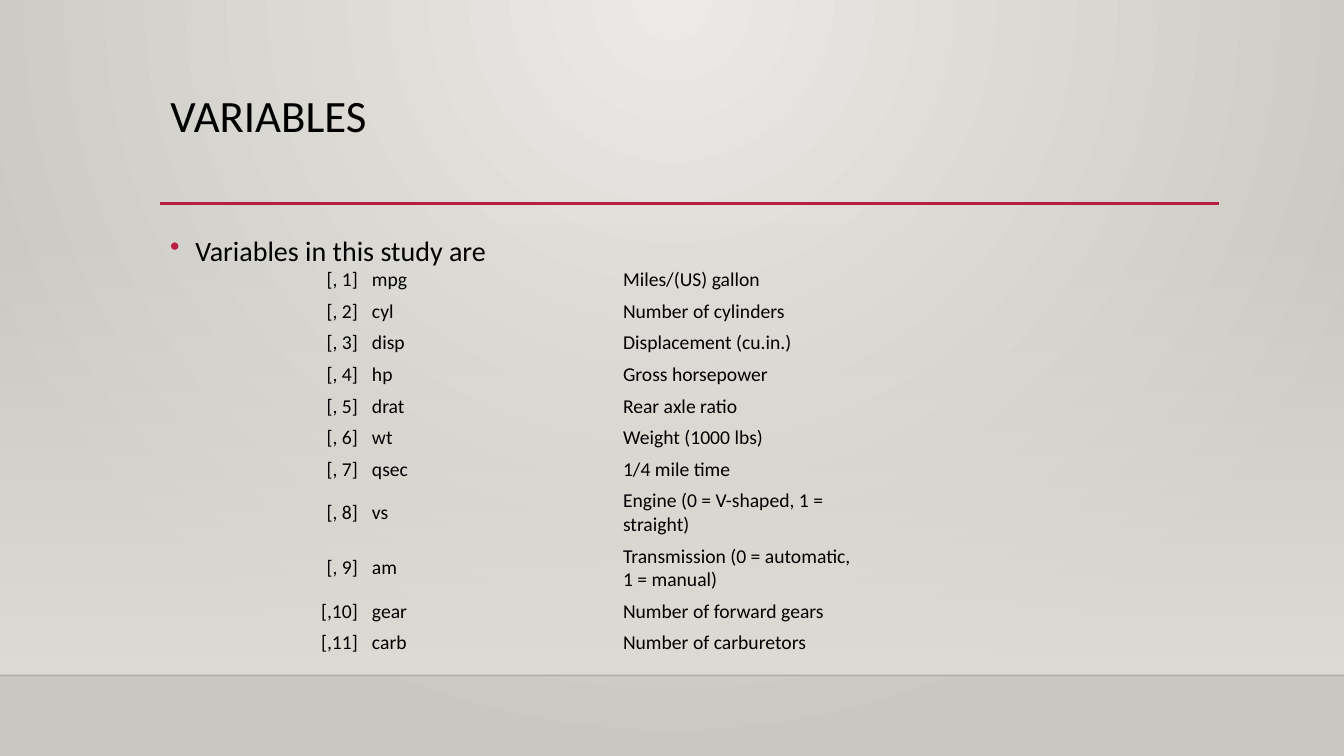
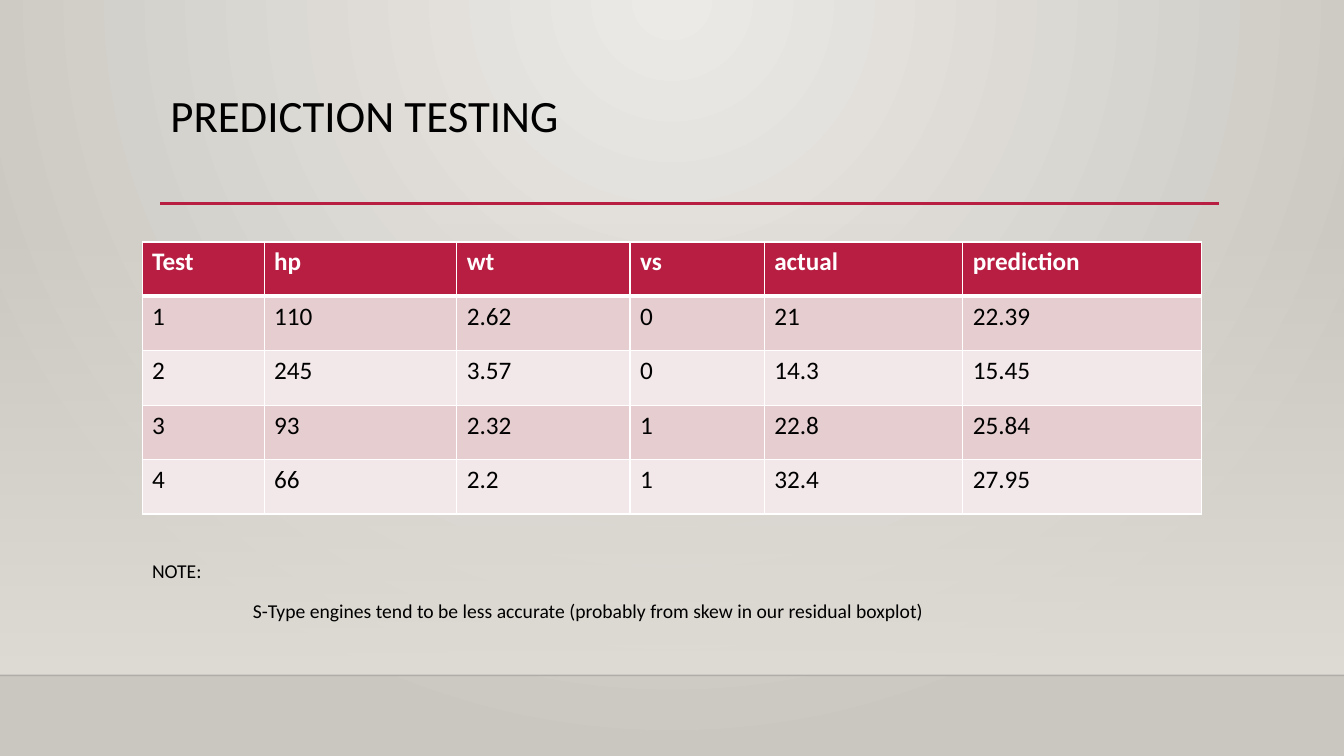
from lxml import etree
from pptx import Presentation
from pptx.dml.color import RGBColor
from pptx.enum.shapes import MSO_CONNECTOR, MSO_SHAPE
from pptx.enum.text import MSO_ANCHOR, MSO_AUTO_SIZE, PP_ALIGN
from pptx.oxml import parse_xml
from pptx.oxml.ns import nsdecls, qn
from pptx.util import Inches, Pt

STRAIGHT = MSO_CONNECTOR.STRAIGHT
RECTANGLE = MSO_SHAPE.RECTANGLE
TOP, MIDDLE = MSO_ANCHOR.TOP, MSO_ANCHOR.MIDDLE
LEFT, RIGHT = PP_ALIGN.LEFT, PP_ALIGN.RIGHT
NO_AUTOFIT = MSO_AUTO_SIZE.NONE

BLACK = RGBColor(0x00, 0x00, 0x00)
WHITE = RGBColor(0xFF, 0xFF, 0xFF)
FLOOR_LINE = RGBColor(0x00, 0x00, 0x01)
CRIMSON = RGBColor(0xB7, 0x1E, 0x42)
ROSE = RGBColor(0xE6, 0xCD, 0xCF)
PALE_ROSE = RGBColor(0xF3, 0xE8, 0xE9)
WALL_LIGHT = RGBColor(0xEC, 0xEA, 0xE7)
WALL_DARK = RGBColor(0xCA, 0xC7, 0xC1)
HAZE = RGBColor(0xDF, 0xDB, 0xD5)

FONT = "Calibri"
SLIDE_WIDTH, SLIDE_HEIGHT = 13.33, 7.5
MARGIN, CONTENT_WIDTH = 1.59, 10.5
FLOOR_TOP = 6.7
PLAIN_TABLE_STYLE = "{2D5ABB26-0587-4C30-8999-92F81FD0307C}"
SPOTLIGHT = ('<a:path path="circle"><a:fillToRect l="43000" t="0" '
             'r="43000" b="100000"/></a:path>')
DOWNWARD = '<a:lin ang="5400000" scaled="0"/>'


def gradient(start, end, direction, start_opacity=100):
    """Return a two-stop gradient fill element."""
    return parse_xml(
        f'<a:gradFill {nsdecls("a")} rotWithShape="1"><a:gsLst>'
        f'<a:gs pos="0"><a:srgbClr val="{start}">'
        f'<a:alpha val="{start_opacity * 1000}"/></a:srgbClr></a:gs>'
        f'<a:gs pos="100000"><a:srgbClr val="{end}"/></a:gs>'
        f'</a:gsLst>{direction}</a:gradFill>')


def replace_solid_fill(parent, fill):
    """Put a fill element in the place of a parent's solid fill."""
    parent.replace(parent.find(qn("a:solidFill")), fill)


def set_border(cell, side, color, width):
    """Draw one border of a cell; call it before the cell is filled."""
    cell._tc.get_or_add_tcPr().append(parse_xml(
        f'<a:ln{side} {nsdecls("a")} w="{Pt(width)}"><a:solidFill>'
        f'<a:srgbClr val="{color}"/></a:solidFill></a:ln{side}>'))


def set_indent(paragraph, left, first_line=0):
    """Indent a paragraph by lengths in inches."""
    properties = paragraph._p.get_or_add_pPr()
    properties.set("marL", str(Inches(left)))
    properties.set("indent", str(Inches(first_line)))


def set_bullet(paragraph, color):
    """Give a paragraph a coloured round bullet."""
    properties = paragraph._p.get_or_add_pPr()
    bullet_color = etree.SubElement(properties, qn("a:buClr"))
    etree.SubElement(bullet_color, qn("a:srgbClr")).set("val", str(color))
    etree.SubElement(properties, qn("a:buChar")).set("char", "•")


class Deck:
    """Holds the shared style and the current slide."""

    def __init__(self):
        """Start a wide presentation with the spotlight background."""
        self.presentation = Presentation()
        self.presentation.slide_width = Inches(SLIDE_WIDTH)
        self.presentation.slide_height = Inches(SLIDE_HEIGHT)
        self.slide = None
        master = self.presentation.slide_master
        master.background.fill.solid()
        background = master._element.find(".//" + qn("p:bgPr"))
        replace_solid_fill(background,
                           gradient(WALL_LIGHT, WALL_DARK, SPOTLIGHT))

    def add_slide(self, title, title_height):
        """Add a slide with its haze, lines and title."""
        layout = self.presentation.slide_layouts[5]
        self.slide = self.presentation.slides.add_slide(layout)
        self.haze()
        floor = self.line(0, FLOOR_TOP, SLIDE_WIDTH, FLOOR_LINE, 1)
        floor_color = floor._element.find(".//" + qn("a:srgbClr"))
        etree.SubElement(floor_color, qn("a:alpha")).set("val", "20000")
        self.line(MARGIN, 2.02, CONTENT_WIDTH, CRIMSON, 2.5)
        shape = self.slide.shapes.title
        shape.left, shape.top = Inches(MARGIN), Inches(0.88)
        shape.width, shape.height = Inches(CONTENT_WIDTH), Inches(title_height)
        frame = shape.text_frame
        frame.text = title
        frame.auto_size = NO_AUTOFIT
        frame.vertical_anchor = TOP
        self.format(frame.paragraphs[0], 32, spacing=0.9)

    def format(self, paragraph, size, color=BLACK, bold=False, align=LEFT,
               spacing=1.0, before=0):
        """Apply the deck's text style to a paragraph."""
        paragraph.alignment = align
        paragraph.line_spacing = spacing
        paragraph.space_before = Pt(before)
        for run in paragraph.runs:
            run.font.name = FONT
            run.font.size = Pt(size)
            run.font.bold = bold
            run.font.color.rgb = color

    def haze(self):
        """Fade in a light band down to the floor line."""
        shape = self.slide.shapes.add_shape(
            RECTANGLE, 0, Inches(2.21), Inches(SLIDE_WIDTH),
            Inches(FLOOR_TOP - 2.21))
        shape.shadow.inherit = False
        shape.line.fill.background()
        shape.fill.solid()
        replace_solid_fill(shape._element.spPr,
                           gradient(HAZE, HAZE, DOWNWARD, 0))

    def line(self, left, top, width, color, weight):
        """Draw a horizontal line."""
        connector = self.slide.shapes.add_connector(
            STRAIGHT, Inches(left), Inches(top), Inches(left + width),
            Inches(top))
        connector.line.color.rgb = color
        connector.line.width = Pt(weight)
        etree.SubElement(connector._element.spPr, qn("a:effectLst"))
        return connector

    def text(self, left, top, width, height, lines, size, spacing):
        """Add a wrapped text box and return its paragraphs."""
        box = self.slide.shapes.add_textbox(
            Inches(left), Inches(top), Inches(width), Inches(height))
        frame = box.text_frame
        frame.word_wrap = True
        frame.text = "\n".join(lines)
        for paragraph in frame.paragraphs:
            self.format(paragraph, size, spacing=spacing, before=10)
        return frame.paragraphs

    def table(self, left, top, widths, heights, rows):
        """Add an unstyled table and return its rows of cells."""
        frame = self.slide.shapes.add_table(
            len(rows), len(widths), Inches(left), Inches(top),
            Inches(sum(widths)), Inches(sum(heights)))
        table = frame.table
        table.first_row = table.horz_banding = False
        table._tbl.tblPr.find(qn("a:tableStyleId")).text = PLAIN_TABLE_STYLE
        for column, width in zip(table.columns, widths):
            column.width = Inches(width)
        for row, height, values in zip(table.rows, heights, rows):
            row.height = Inches(height)
            for cell, value in zip(row.cells, values):
                cell.text = value
        return [list(row.cells) for row in table.rows]

    def list_table(self, left, top, widths, heights, rows):
        """Add a table without fills or borders, first column to the right."""
        for cells in self.table(left, top, widths, heights, rows):
            for index, cell in enumerate(cells):
                cell.margin_left = cell.margin_right = Inches(0.07)
                cell.margin_top = cell.margin_bottom = Inches(0.04)
                cell.vertical_anchor = MIDDLE
                cell.fill.background()
                self.format(cell.text_frame.paragraphs[0], 14,
                            align=LEFT if index else RIGHT)

    def banded_table(self, left, top, widths, heights, rows):
        """Add a table with a crimson header and rose bands."""
        grid = self.table(left, top, widths, heights, rows)
        for index, cells in enumerate(grid):
            header = index == 0
            band = ROSE if index % 2 else PALE_ROSE
            borders = {"L": 1, "R": 1, "T": 3 if index == 1 else 1,
                       "B": 3 if header else 1}
            for cell in cells:
                for side, width in borders.items():
                    set_border(cell, side, WHITE, width)
                cell.fill.solid()
                cell.fill.fore_color.rgb = CRIMSON if header else band
                self.format(cell.text_frame.paragraphs[0], 18,
                            WHITE if header else BLACK, bold=header)


VARIABLES = [
    ("mpg", "Miles/(US) gallon"),
    ("cyl", "Number of cylinders"),
    ("disp", "Displacement (cu.in.)"),
    ("hp", "Gross horsepower"),
    ("drat", "Rear axle ratio"),
    ("wt", "Weight (1000 lbs)"),
    ("qsec", "1/4 mile time"),
    ("vs", "Engine (0 = V-shaped, 1 = straight)"),
    ("am", "Transmission (0 = automatic, 1 = manual)"),
    ("gear", "Number of forward gears"),
    ("carb", "Number of carburetors"),
]
PREDICTIONS = [
    ("Test", "hp", "wt", "vs", "actual", "prediction"),
    ("1", "110", "2.62", "0", "21", "22.39"),
    ("2", "245", "3.57", "0", "14.3", "15.45"),
    ("3", "93", "2.32", "1", "22.8", "25.84"),
    ("4", "66", "2.2", "1", "32.4", "27.95"),
]


def variables_slide(deck):
    """Build the list of the study's variables."""
    deck.add_slide("VARIABLES", 0.87)
    [intro] = deck.text(MARGIN, 2.2, CONTENT_WIDTH, 3.77,
                        ["Variables in this study are"], 20, 1.2)
    set_indent(intro, 0.25, -0.25)
    set_bullet(intro, CRIMSON)
    rows = [(f"[,{number:2}]", name, meaning)
            for number, (name, meaning) in enumerate(VARIABLES, 1)]
    heights = [0.51 if name in ("vs", "am") else 0.29
               for name, _ in VARIABLES]
    deck.list_table(1.13, 2.62, [2.49] * 3, heights, rows)


def prediction_slide(deck):
    """Build the comparison of actual and predicted values."""
    deck.add_slide("PREDICTION TESTING", 1.15)
    deck.banded_table(1.41, 2.4, [1.21, 1.91, 1.72, 1.33, 1.97, 2.37],
                      [0.54] * len(PREDICTIONS), PREDICTIONS)
    _, remark = deck.text(
        1.41, 5.47, 10.83, 0.91,
        ["NOTE:", "S-Type engines tend to be less accurate "
                  "(probably from skew in our residual boxplot)"], 14, 1.1)
    set_indent(remark, 1)


deck = Deck()
variables_slide(deck)
prediction_slide(deck)
deck.presentation.save("out.pptx")
